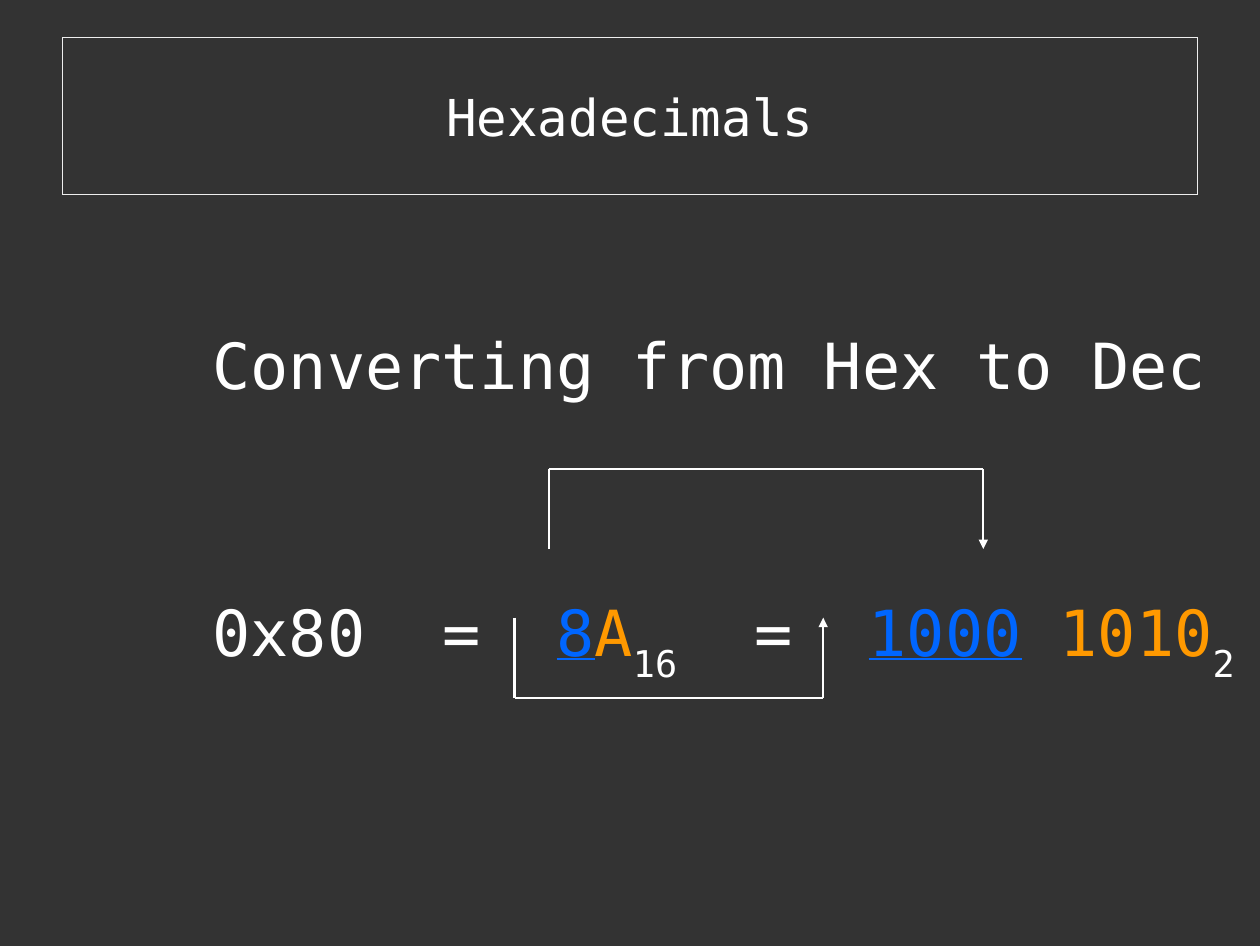
"""Build the Hexadecimals slide."""
from lxml import etree
from pptx import Presentation
from pptx.dml.color import RGBColor
from pptx.enum.shapes import MSO_CONNECTOR
from pptx.enum.text import MSO_ANCHOR, MSO_AUTO_SIZE, PP_ALIGN
from pptx.oxml.ns import qn
from pptx.util import Inches, Pt

LINE = MSO_CONNECTOR.STRAIGHT
MIDDLE = MSO_ANCHOR.MIDDLE
FIXED = MSO_AUTO_SIZE.NONE
CENTER = PP_ALIGN.CENTER
LEFT = PP_ALIGN.LEFT
DARK = RGBColor(0x33, 0x33, 0x33)
PALE = RGBColor(0xEE, 0xEE, 0xEE)
WHITE = RGBColor(0xFF, 0xFF, 0xFF)
BLUE = RGBColor(0x00, 0x66, 0xFF)
ORANGE = RGBColor(0xFF, 0x99, 0x00)
FACE = "DejaVu Sans Mono"
CELL = Inches(0.1)


def write(para, text, size=40, color=WHITE, under=False, base=0):
    """Add one formatted run to a paragraph."""
    run = para.add_run()
    run.text = text
    font = run.font
    font.name, font.size, font.underline = FACE, Pt(size), under
    font.color.rgb = color
    if base:
        font._element.set("baseline", str(base * 1000))


def place(shape, left, top, width, height):
    """Set a shape on the grid of cells."""
    shape.left, shape.top = int(left * CELL), int(top * CELL)
    shape.width, shape.height = int(width * CELL), int(height * CELL)


deck = Presentation()
deck.slide_width, deck.slide_height = Inches(11.02), Inches(8.27)
slide = deck.slides.add_slide(deck.slide_layouts[5])
slide.background.fill.solid()
slide.background.fill.fore_color.rgb = DARK

title = slide.shapes.title
place(title, 5.5, 3.3, 99.2, 13.7)
title.fill.solid()
title.fill.fore_color.rgb = DARK
title.line.color.rgb = PALE
title.line.width = Pt(0)
frame = title.text_frame
frame.auto_size, frame.vertical_anchor = FIXED, MIDDLE
frame.margin_left = frame.margin_right = frame.margin_top = frame.margin_bottom = 0
frame.paragraphs[0].alignment = CENTER
write(frame.paragraphs[0], "Hexadecimals", size=32)

body = slide.shapes.add_textbox(0, 0, CELL, CELL)
place(body, 17.6, 28, 92.6, 34.5)
frame = body.text_frame
frame.word_wrap, frame.auto_size = True, FIXED
head = frame.paragraphs[0]
head.alignment = LEFT
write(head, "Converting from Hex to Dec")

sum_row = frame.add_paragraph()
sum_row.alignment = LEFT
sum_row.space_before = Pt(120)
tabs = etree.SubElement(sum_row._p.get_or_add_pPr(), qn("a:tabLst"))
for stop in (20.1, 30.1, 47.4, 57.4):
    etree.SubElement(tabs, qn("a:tab"), pos=str(int(stop * CELL)), algn="l")
write(sum_row, "0x80\t=\t")
write(sum_row, "8", color=BLUE, under=True)
write(sum_row, "A", color=ORANGE)
write(sum_row, "16", base=-33)
write(sum_row, "\t=\t")
write(sum_row, "1000", color=BLUE, under=True)
write(sum_row, " ")
write(sum_row, "1010", color=ORANGE)
write(sum_row, "2", base=-33)

for start, end, tip, shelf in ((45, 72, 54, 61), (48, 86, 48, 41)):
    route = [(start, tip), (start, shelf), (end, shelf), (end, tip)]
    for step, (a, b) in enumerate(zip(route, route[1:])):
        edge = slide.shapes.add_connector(LINE, *(n * CELL for n in a + b))
        edge.line.color.rgb = WHITE
        edge.line.width = Pt(1.45)
        if step == 2:
            etree.SubElement(edge.line._get_or_add_ln(), qn("a:tailEnd"), type="triangle")
        etree.SubElement(edge._element.spPr, qn("a:effectLst"))

deck.save("out.pptx")
